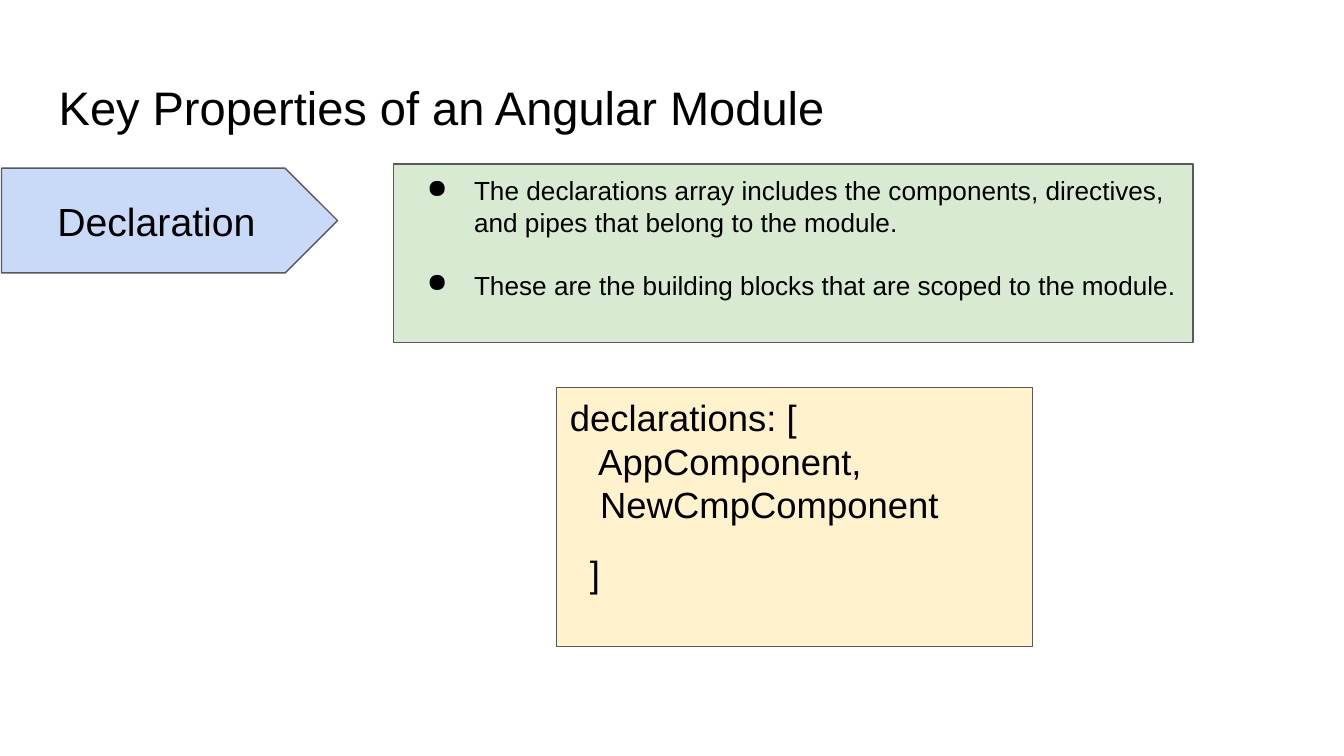
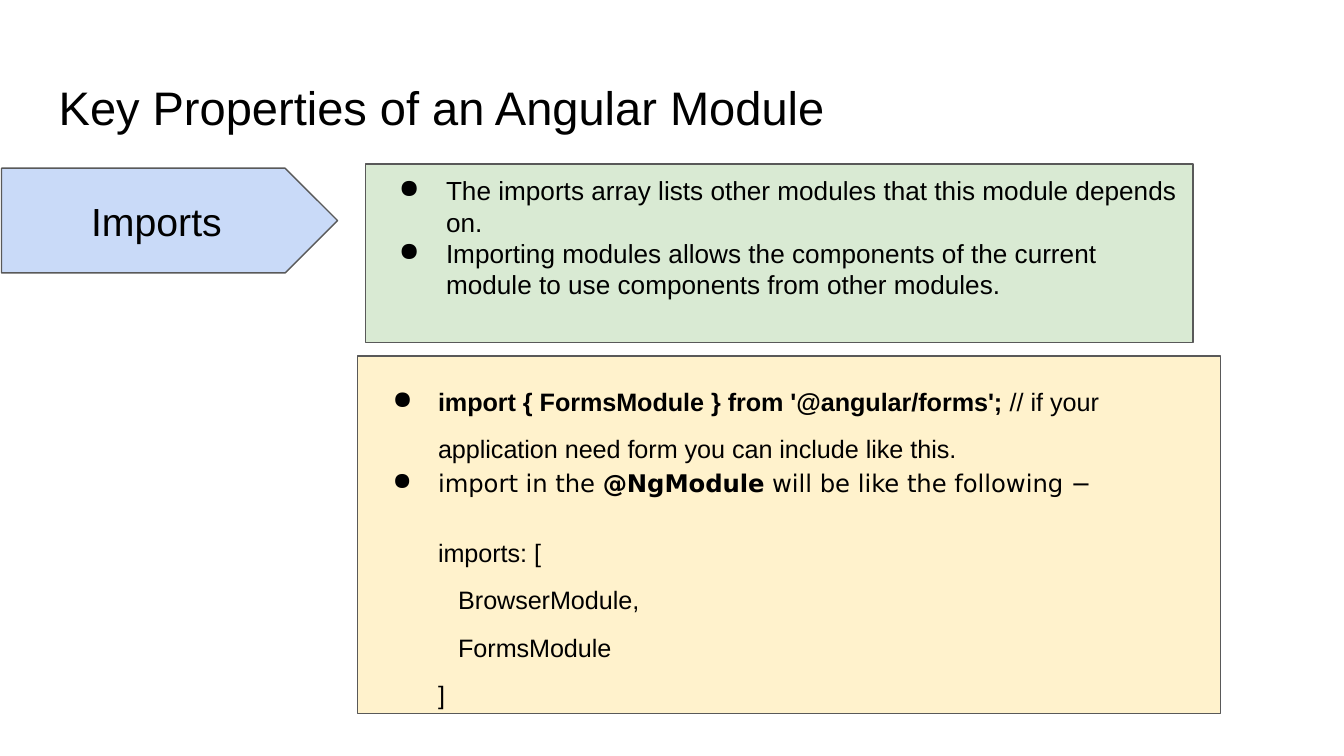
from dataclasses import dataclass

from lxml import etree
from pptx import Presentation
from pptx.dml.color import RGBColor
from pptx.enum.shapes import MSO_SHAPE
from pptx.enum.text import MSO_ANCHOR, PP_ALIGN
from pptx.oxml.ns import qn
from pptx.util import Cm, Pt

PENTAGON, RECTANGLE = MSO_SHAPE.PENTAGON, MSO_SHAPE.RECTANGLE
TOP, MIDDLE = MSO_ANCHOR.TOP, MSO_ANCHOR.MIDDLE
LEFT, CENTER = PP_ALIGN.LEFT, PP_ALIGN.CENTER


@dataclass(frozen=True)
class Theme:
    ink: str = "000000"
    outline: str = "595959"
    tag: str = "C9DAF8"
    points: str = "D9EAD3"
    code: str = "FFF2CC"
    font: str = "Arial"
    alternate_font: str = "DejaVu Sans"
    title_size: float = 25.2
    tag_size: float = 21
    point_size: float = 14
    code_size: float = 19.5
    small_code_size: float = 13.5
    alternate_size: float = 13
    outline_width: float = 0.75
    loose: float = 1.57


THEME = Theme()


@dataclass(frozen=True)
class Box:
    """Left, top, width and height in centimetres."""
    left: float
    top: float
    width: float
    height: float

    def lengths(self):
        return Cm(self.left), Cm(self.top), Cm(self.width), Cm(self.height)


@dataclass(frozen=True)
class Line:
    """One paragraph; spans are (text, bold) pairs, indents are centimetres."""
    spans: tuple
    size: float
    font: str = THEME.font
    bullet: bool = False
    margin: float = 0
    indent: float = 0
    spacing: float = 1
    before: float = 0
    align: PP_ALIGN = LEFT


TITLE = Box(0.86, 1.24, 23.67, 1.6)
TAG = Box(0.03, 3.18, 6.35, 1.98)
POINTS_TOP, POINTS_RIGHT, POINTS_HEIGHT = 3.1, 22.55, 3.38
INSET = 0.25


def plain(text, size, **options):
    return Line(((text, False),), size, **options)


def add_bullet(para):
    properties = para._p.get_or_add_pPr()
    color = etree.SubElement(properties, qn("a:buClr"))
    etree.SubElement(color, qn("a:srgbClr")).set("val", THEME.ink)
    etree.SubElement(properties, qn("a:buChar")).set("char", "●")


def write_line(para, line):
    for text, bold in line.spans:
        span = para.add_run()
        span.text = text
        if bold:
            span.font.bold = True
    properties = para._p.get_or_add_pPr()
    properties.set("marL", str(Cm(line.margin)))
    properties.set("indent", str(Cm(line.indent)))
    para.alignment = line.align
    para.line_spacing = line.spacing
    if line.before:
        para.space_before = Pt(line.before)
    if line.bullet:
        add_bullet(para)
    para.font.name = line.font
    para.font.size = Pt(line.size)
    para.font.color.rgb = RGBColor.from_string(THEME.ink)


def write_text(shape, lines, anchor=TOP, top_inset=INSET):
    frame = shape.text_frame
    frame.word_wrap = True
    frame.vertical_anchor = anchor
    frame.margin_left = frame.margin_right = frame.margin_bottom = Cm(INSET)
    frame.margin_top = Cm(top_inset)
    for number, line in enumerate(lines):
        write_line(frame.add_paragraph() if number else frame.paragraphs[0], line)


def add_panel(page, box, fill, lines, kind=RECTANGLE, **text_options):
    shape = page.shapes.add_shape(kind, *box.lengths())
    shape.shadow.inherit = False
    shape.fill.solid()
    shape.fill.fore_color.rgb = RGBColor.from_string(fill)
    shape.line.color.rgb = RGBColor.from_string(THEME.outline)
    shape.line.width = Pt(THEME.outline_width)
    write_text(shape, lines, **text_options)


def add_title(page, box, text):
    write_text(page.shapes.add_textbox(*box.lengths()),
               [plain(text, THEME.title_size)])


def add_tag(page, box, name):
    add_panel(page, box, THEME.tag,
              [plain(name, THEME.tag_size, align=CENTER)],
              kind=PENTAGON, anchor=MIDDLE)


def add_points(page, box, points, gap):
    lines = [plain(text, THEME.point_size, bullet=True, margin=1.27,
                   indent=-0.89, before=gap if number else 0)
             for number, text in enumerate(points)]
    add_panel(page, box, THEME.points, lines, top_inset=0.2)


def add_property_page(deck, name, points, points_left, gap=0):
    """Add a page with title, tag and points; the code panel is left to the caller."""
    page = deck.slides.add_slide(deck.slide_layouts[6])
    add_title(page, TITLE, "Key Properties of an Angular Module")
    add_tag(page, TAG, name)
    box = Box(points_left, POINTS_TOP, POINTS_RIGHT - points_left, POINTS_HEIGHT)
    add_points(page, box, points, gap)
    return page


def add_declarations_code(page, box):
    size = THEME.code_size
    lines = [plain(text, size) for text in
             ("declarations: [", "   AppComponent,", "   NewCmpComponent")]
    lines.append(plain("]", size, margin=0.38, spacing=THEME.loose))
    add_panel(page, box, THEME.code, lines, top_inset=0.15)


def add_imports_code(page, box):
    size, loose = THEME.small_code_size, THEME.loose
    bullet = {"bullet": True, "margin": 1.27, "indent": -0.86}
    code = {"margin": 0.38, "spacing": loose}
    lines = [
        Line((("import { FormsModule } from '@angular/forms';", True),
              (" // if your application need form you can include like this.", False)),
             size, spacing=loose, **bullet),
        Line((("import in the ", False), ("@NgModule", True),
              (" will be like the following −", False)),
             THEME.alternate_size, font=THEME.alternate_font, spacing=1.15, **bullet),
        plain("imports: [", size, indent=0.89, before=12, **code),
        plain("   \tBrowserModule,", size, **code),
        plain("   \tFormsModule", size, **code),
        plain("]", size, indent=0.89, **code),
    ]
    add_panel(page, box, THEME.code, lines)


def main():
    deck = Presentation()
    deck.slide_width, deck.slide_height = Cm(25.4), Cm(14.29)

    declaration = add_property_page(
        deck, "Declaration",
        ["The declarations array includes the components, directives, "
         "and pipes that belong to the module.",
         "These are the building blocks that are scoped to the module."],
        points_left=7.44, gap=17)
    add_declarations_code(declaration, Box(10.52, 7.32, 8.99, 4.9))

    imports = add_property_page(
        deck, "Imports",
        ["The imports array lists other modules that this module depends on.",
         "Importing modules allows the components of the current module "
         "to use components from other modules."],
        points_left=6.91)
    add_imports_code(imports, Box(6.76, 6.73, 16.31, 6.76))

    deck.save("out.pptx")


if __name__ == "__main__":
    main()
